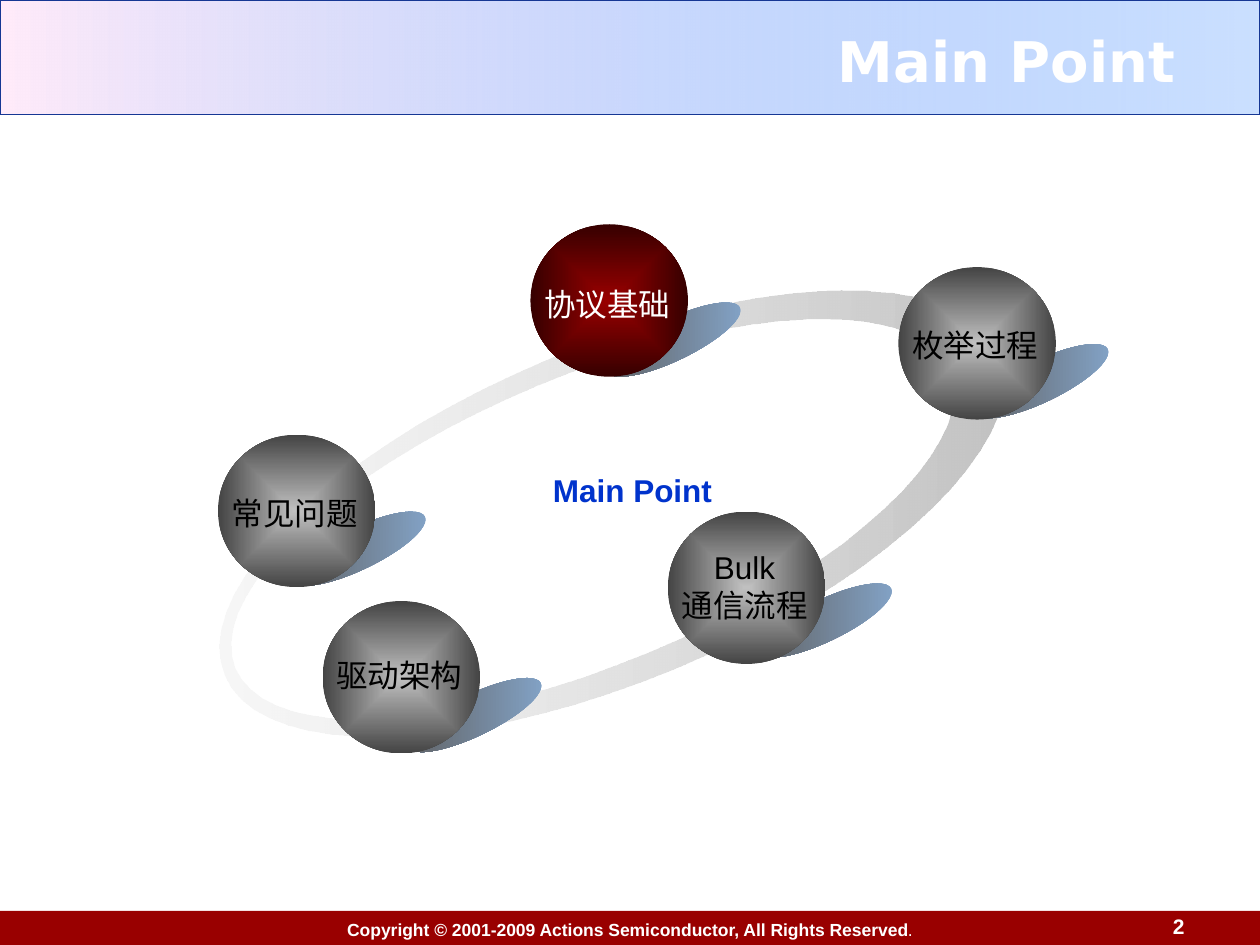
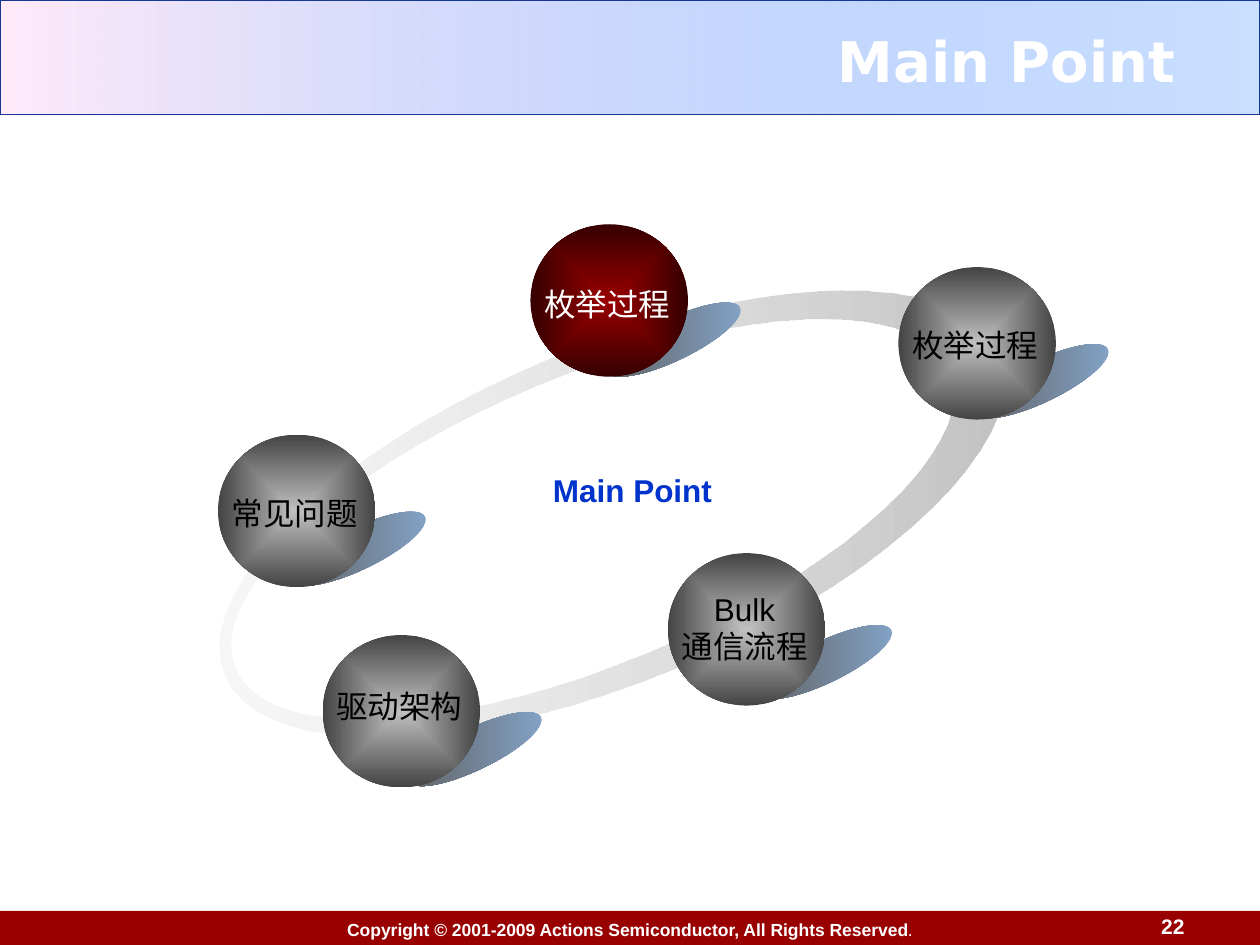
from math import cos, pi, sin

from pptx import Presentation
from pptx.dml.color import RGBColor
from pptx.enum.shapes import MSO_SHAPE
from pptx.enum.text import MSO_ANCHOR, PP_ALIGN
from pptx.oxml import parse_xml
from pptx.oxml.ns import nsdecls, qn
from pptx.util import Inches, Pt

RECT, OVAL = MSO_SHAPE.RECTANGLE, MSO_SHAPE.OVAL
TOP, MIDDLE, BOTTOM = MSO_ANCHOR.TOP, MSO_ANCHOR.MIDDLE, MSO_ANCHOR.BOTTOM
CENTER, RIGHT = PP_ALIGN.CENTER, PP_ALIGN.RIGHT

WHITE = RGBColor(0xFF, 0xFF, 0xFF)
BLACK = RGBColor(0x00, 0x00, 0x00)
NAVY = RGBColor(0x16, 0x37, 0x94)
BLUE = RGBColor(0x00, 0x33, 0xCC)
SKY = RGBColor(0x5E, 0x9E, 0xFF)
PINK = RGBColor(0xFF, 0xEB, 0xFA)
RED = RGBColor(0x99, 0x00, 0x00)
DARK_RED = RGBColor(0x36, 0x00, 0x00)
SILVER = RGBColor(0xC0, 0xC0, 0xC0)
PALE = RGBColor(0xEB, 0xEB, 0xEB)
CHARCOAL = RGBColor(0x44, 0x44, 0x44)
STEEL = RGBColor(0x84, 0xA5, 0xCA)
GREY = RGBColor(0x5F, 0x5F, 0x5F)

BODY_FONT, TITLE_FONT = "Arial", "DejaVu Sans"
SLIDE_W, SLIDE_H = 10, 7.5
BALL_W, BALL_H = 1.25, 1.21
RING_STEPS = 72
COPYRIGHT = "Copyright © 2001-2009 Actions Semiconductor, All Rights Reserved"


def set_gradient(sp, start, end, angle=None, start_alpha=100, end_alpha=100):
    """Fill a shape with two colours, linear at an angle or from the centre."""
    stops = "".join(
        f'<a:gs pos="{pos}"><a:srgbClr val="{color}">'
        f'<a:alpha val="{alpha * 1000}"/></a:srgbClr></a:gs>'
        for pos, color, alpha in ((0, start, start_alpha), (100000, end, end_alpha)))
    if angle is None:
        direction = ('<a:path path="rect"><a:fillToRect l="50000" t="50000" '
                     'r="50000" b="50000"/></a:path>')
    else:
        direction = f'<a:lin ang="{angle * 60000}" scaled="1"/>'
    sp.fill.background()
    props = sp._element.spPr
    props.replace(props.find(qn("a:noFill")), parse_xml(
        f'<a:gradFill {nsdecls("a")} rotWithShape="1">'
        f"<a:gsLst>{stops}</a:gsLst>{direction}</a:gradFill>"))


def add_shape(slide, kind, x, y, w, h):
    """Add a preset shape with no line and no shadow."""
    sp = slide.shapes.add_shape(kind, Inches(x), Inches(y), Inches(w), Inches(h))
    sp.shadow.inherit = False
    sp.line.fill.background()
    return sp


def add_run(p, text, size, color, bold=False, font=BODY_FONT):
    """Add one formatted run to a paragraph."""
    r = p.add_run()
    r.text = text
    r.font.size = Pt(size)
    r.font.name = font
    r.font.bold = bold
    r.font.color.rgb = color


def add_text(slide, x, y, w, h, lines, size, color, bold=False,
             font=BODY_FONT, align=CENTER, anchor=TOP, wrap=True):
    """Add a text box with one paragraph for each line."""
    box = slide.shapes.add_textbox(Inches(x), Inches(y), Inches(w), Inches(h))
    tf = box.text_frame
    tf.word_wrap = wrap
    tf.vertical_anchor = anchor
    for i, line in enumerate(lines):
        p = tf.add_paragraph() if i else tf.paragraphs[0]
        p.alignment = align
        add_run(p, line, size, color, bold, font)
    return tf


def add_header(slide, title, h=0.91):
    """Draw the top band and the title in it."""
    band = add_shape(slide, RECT, 0, 0, SLIDE_W, h)
    set_gradient(band, SKY, PINK, 180, start_alpha=32)
    band.line.color.rgb = NAVY
    band.line.width = Pt(0.75)
    tf = add_text(slide, 0.33, 0.17, 9.25, 0.62, [title], 32, WHITE, True,
                  TITLE_FONT, RIGHT, MIDDLE)
    tf.margin_right = Inches(0.25)


def add_footer(slide, number, y=7.23):
    """Draw the bottom band, the copyright line and the page number."""
    band = add_shape(slide, RECT, 0, y, SLIDE_W, 0.29)
    band.fill.solid()
    band.fill.fore_color.rgb = RED
    tf = band.text_frame
    tf.word_wrap = False
    tf.vertical_anchor = MIDDLE
    p = tf.paragraphs[0]
    p.alignment = CENTER
    add_run(p, COPYRIGHT, 10, WHITE, True)
    add_run(p, ".", 10, WHITE)
    add_text(slide, 8.94, y - 0.01, 0.56, 0.28, [str(number)], 12, WHITE, True,
             align=RIGHT, anchor=BOTTOM)


def ellipse_points(cx, cy, rx, ry, turn):
    """Return points round an ellipse, clockwise for turn 1, else reversed."""
    angles = [turn * 2 * pi * i / RING_STEPS for i in range(RING_STEPS)]
    return [(Inches(cx + rx * cos(a)), Inches(cy + ry * sin(a))) for a in angles]


def add_ring(slide, x, y, w, h):
    """Draw the tilted ring, thicker at its right end, in the given box."""
    cx, cy = x + w / 2, y + h / 2
    outer = ellipse_points(cx, cy, w / 2, h / 2, 1)
    inner = ellipse_points(cx - 0.16, cy - 0.02, w / 2 - 0.26, h / 2 - 0.18, -1)
    builder = slide.shapes.build_freeform(*outer[0])
    builder.add_line_segments(outer[1:])
    builder.move_to(*inner[0])
    builder.add_line_segments(inner[1:])
    sp = builder.convert_to_shape()
    sp.shadow.inherit = False
    sp.line.fill.background()
    sp.rotation = 337.4
    set_gradient(sp, SILVER, PALE, 203, end_alpha=36)


def add_topic(slide, x, y, lines, shadow_dx, shadow_dy, label_dy, active=False):
    """Draw a ball with its cast shadow and its label."""
    shadow = add_shape(slide, OVAL, x + shadow_dx, y + shadow_dy, 1.17, 0.33)
    shadow.rotation = 334.3
    set_gradient(shadow, STEEL, GREY, 206)
    ball = add_shape(slide, OVAL, x, y, BALL_W, BALL_H)
    set_gradient(ball, *((RED, DARK_RED) if active else (SILVER, CHARCOAL)))
    add_text(slide, x + 0.01, y + label_dy, 1.2, 0.1 + 0.3 * len(lines), lines,
             18, WHITE if active else BLACK, wrap=False)


def add_agenda_slide(prs, number, current, bulk_y, driver_y, driver_label_dy):
    """Build one agenda slide with the current topic in red."""
    slide = prs.slides.add_slide(prs.slide_layouts[6])
    add_header(slide, "Main Point")
    add_footer(slide, number)
    add_ring(slide, 1.53, 2.75, 6.66, 2.65)
    add_topic(slide, 4.21, 1.78, [current], 0.55, 0.75, 0.43, active=True)
    add_topic(slide, 7.13, 2.12, ["枚举过程"], 0.55, 0.74, 0.42)
    add_topic(slide, 5.3, bulk_y, ["Bulk", "通信流程"], 0.66, 0.7, 0.24)
    add_topic(slide, 2.56, driver_y, ["驱动架构"], 0.62, 0.74, driver_label_dy)
    add_topic(slide, 1.73, 3.45, ["常见问题"], 0.53, 0.74, 0.42)
    add_text(slide, 3.76, 3.69, 2.52, 0.4, ["Main Point"], 18, BLUE, True)


def main():
    """Build the deck and save it."""
    prs = Presentation()
    prs.slide_width, prs.slide_height = Inches(SLIDE_W), Inches(SLIDE_H)
    add_agenda_slide(prs, 2, "协议基础", 4.06, 4.77, 0.39)
    add_agenda_slide(prs, 22, "枚举过程", 4.39, 5.04, 0.36)
    prs.save("out.pptx")


if __name__ == "__main__":
    main()
